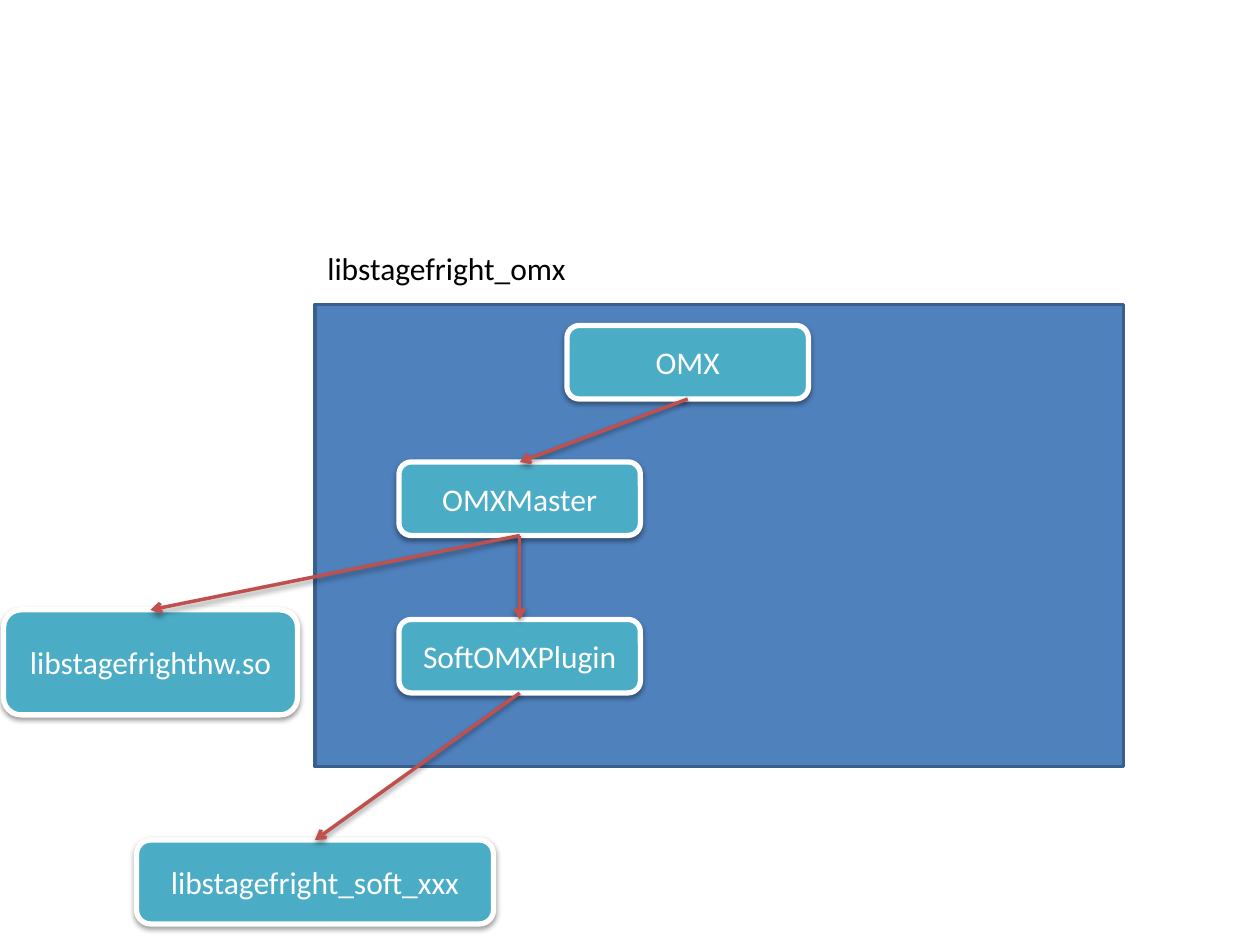
from pptx import Presentation
from pptx.dml.color import RGBColor
from pptx.enum.shapes import MSO_CONNECTOR, MSO_SHAPE
from pptx.enum.text import MSO_ANCHOR, MSO_AUTO_SIZE, PP_ALIGN
from pptx.oxml import parse_xml
from pptx.oxml.ns import nsdecls
from pptx.util import Pt

RECT, ROUNDED = MSO_SHAPE.RECTANGLE, MSO_SHAPE.ROUNDED_RECTANGLE
STRAIGHT = MSO_CONNECTOR.STRAIGHT
CENTER, LEFT = PP_ALIGN.CENTER, PP_ALIGN.LEFT
MIDDLE = MSO_ANCHOR.MIDDLE
FIT_SHAPE = MSO_AUTO_SIZE.SHAPE_TO_FIT_TEXT

TOP_SITE, BOTTOM_SITE = 0, 2
BLUE, BLUE_EDGE, TEAL, RED = "4F81BD", "3A5F8C", "4BACC6", "C0504D"
WHITE, BLACK = "FFFFFF", "000000"

# Component: left, top, width, height in points
COMPONENTS = {
    "OMXMaster": (228, 264, 138, 42),
    "libstagefrighthw.so": (2, 348.5, 168, 60),
    "SoftOMXPlugin": (228, 354, 138, 42),
    "libstagefright_soft_xxx": (78, 480, 204, 48),
    "OMX": (324, 186, 138, 42),
}
LINKS = [
    ("OMXMaster", "libstagefrighthw.so"),
    ("OMXMaster", "SoftOMXPlugin"),
    ("SoftOMXPlugin", "libstagefright_soft_xxx"),
    ("OMX", "OMXMaster"),
]


def color(value):
    return RGBColor.from_string(value)


def add_shadow(part):
    part._element.spPr.append(parse_xml(
        f'<a:effectLst {nsdecls("a")}>'
        f'<a:outerShdw blurRad="{Pt(3.1)}" dist="{Pt(1.6)}" dir="5400000" rotWithShape="0">'
        f'<a:srgbClr val="{BLACK}"><a:alpha val="38000"/></a:srgbClr>'
        '</a:outerShdw></a:effectLst>'))


def write(frame, text, text_color, align):
    paragraph = frame.paragraphs[0]
    paragraph.alignment = align
    run = paragraph.add_run()
    run.text = text
    run.font.size = Pt(18)
    run.font.name = "Calibri"
    run.font.color.rgb = color(text_color)


def add_block(slide, preset, box, fill, edge, edge_width):
    block = slide.shapes.add_shape(preset, *map(Pt, box))
    block.fill.solid()
    block.fill.fore_color.rgb = color(fill)
    block.line.color.rgb = color(edge)
    block.line.width = Pt(edge_width)
    return block


def add_library(slide, box, name):
    left, top, width, height = box
    panel = add_block(slide, RECT, box, BLUE, BLUE_EDGE, 2)
    panel.shadow.inherit = False
    # Library name above the panel
    label = slide.shapes.add_textbox(Pt(left), Pt(top - 35), Pt(152), Pt(29))
    label.text_frame.word_wrap = False
    label.text_frame.auto_size = FIT_SHAPE
    write(label.text_frame, name, BLACK, LEFT)


def add_component(slide, box, name):
    component = add_block(slide, ROUNDED, box, TEAL, WHITE, 3)
    add_shadow(component)
    component.text_frame.word_wrap = True
    component.text_frame.vertical_anchor = MIDDLE
    write(component.text_frame, name, WHITE, CENTER)
    return component


def add_link(slide, caller, callee):
    link = slide.shapes.add_connector(STRAIGHT, 0, 0, 0, 0)
    link.begin_connect(caller, BOTTOM_SITE)
    link.end_connect(callee, TOP_SITE)
    link.line.color.rgb = color(RED)
    link.line.width = Pt(2)
    link.line._get_or_add_ln().append(
        parse_xml(f'<a:tailEnd {nsdecls("a")} type="arrow"/>'))
    add_shadow(link)


def main():
    prs = Presentation()
    prs.slide_width, prs.slide_height = Pt(720), Pt(540)
    slide = prs.slides.add_slide(prs.slide_layouts[6])

    add_library(slide, (180, 174, 462, 264), "libstagefright_omx")
    components = {name: add_component(slide, box, name)
                  for name, box in COMPONENTS.items()}
    for caller, callee in LINKS:
        add_link(slide, components[caller], components[callee])

    prs.save("out.pptx")


if __name__ == "__main__":
    main()
